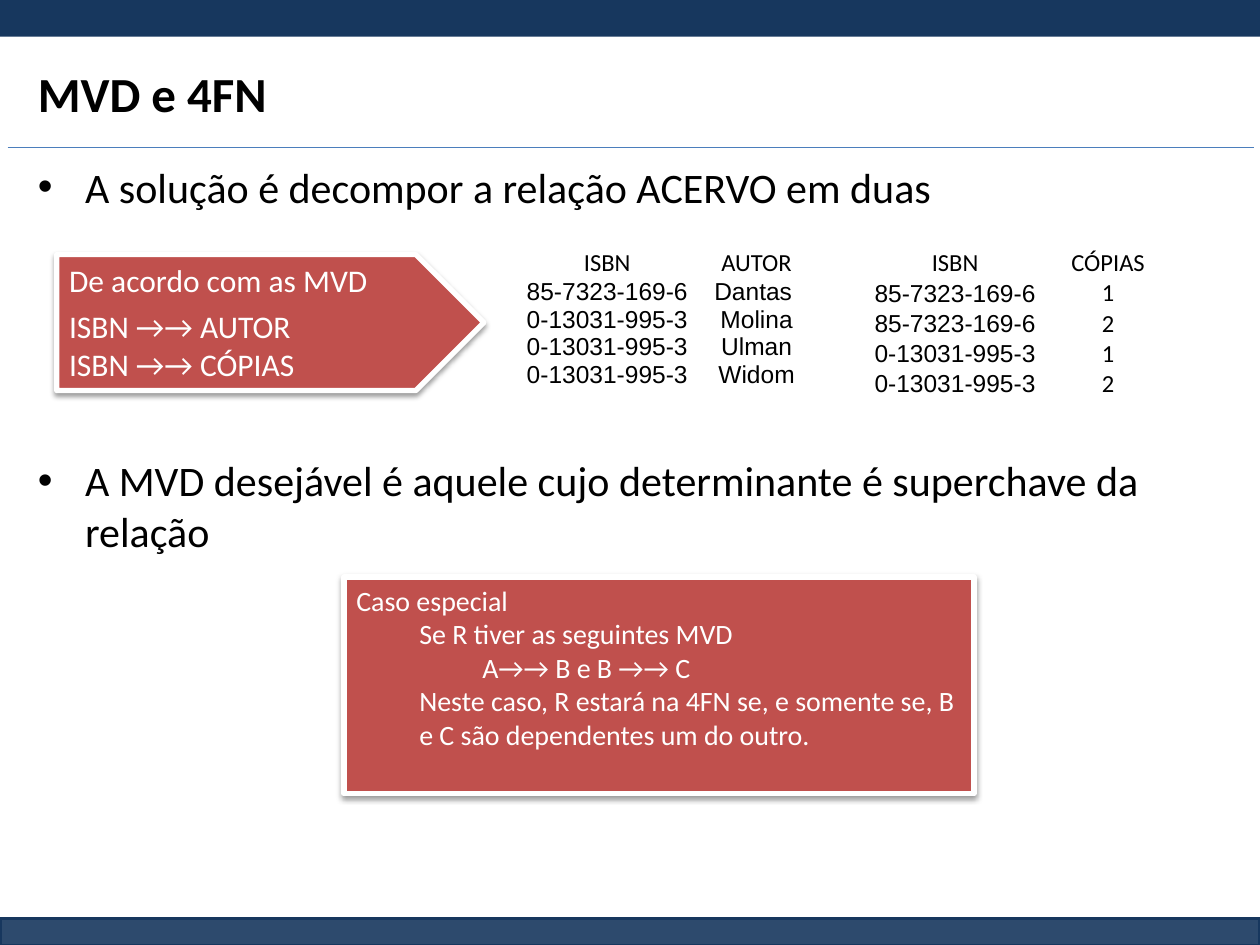
from dataclasses import dataclass

from lxml.etree import SubElement
from pptx import Presentation
from pptx.dml.color import RGBColor
from pptx.enum.shapes import MSO_CONNECTOR, MSO_SHAPE
from pptx.enum.text import MSO_ANCHOR, MSO_AUTO_SIZE, PP_ALIGN
from pptx.oxml import parse_xml
from pptx.oxml.ns import nsdecls, qn
from pptx.util import Inches, Pt


@dataclass(frozen=True)
class Theme:
    navy: RGBColor = RGBColor(0x17, 0x37, 0x5E)
    blue: RGBColor = RGBColor(0x4B, 0x7E, 0xBC)
    red: RGBColor = RGBColor(0xC0, 0x50, 0x4D)
    white: RGBColor = RGBColor(0xFF, 0xFF, 0xFF)
    black: RGBColor = RGBColor(0, 0, 0)
    face: str = "Calibri"
    digits: str = "Arial"
    title: int = 28
    body: int = 24
    arrow: int = 18
    note: int = 16
    cell: int = 14


THEME = Theme()
SHADOW = (
    f'<a:effectLst {nsdecls("a")}><a:outerShdw blurRad="40000" dist="20000" '
    'dir="5400000" rotWithShape="0"><a:srgbClr val="000000">'
    '<a:alpha val="38000"/></a:srgbClr></a:outerShdw></a:effectLst>'
)


def style(para, size, color, face=THEME.face, bold=False):
    font = para.font
    font.size, font.name, font.bold = Pt(size), face, bold
    font.color.rgb = color


def place(shape, box):
    shape.left, shape.top, shape.width, shape.height = map(Inches, box)


def add_bar(slide, box, alpha=None):
    bar = slide.shapes.add_shape(MSO_SHAPE.RECTANGLE, *map(Inches, box))
    bar.shadow.inherit = False
    bar.fill.solid()
    bar.fill.fore_color.rgb = THEME.navy
    if alpha is None:
        bar.line.fill.background()
        return
    bar.line.color.rgb = THEME.navy
    bar.line.width = Pt(2)
    tint = bar.fill._xPr.find(qn("a:solidFill"))[0]
    SubElement(tint, qn("a:alpha")).set("val", str(alpha * 1000))


def add_rule(slide, left, top, width):
    rule = slide.shapes.add_connector(
        MSO_CONNECTOR.STRAIGHT,
        Inches(left), Inches(top), Inches(left + width), Inches(top))
    rule.line.color.rgb = THEME.blue
    rule.line.width = Pt(0.75)
    SubElement(rule._element.spPr, qn("a:effectLst"))


def fill_title(slide, box, text):
    title = slide.shapes.title
    place(title, box)
    frame = title.text_frame
    frame.text = text
    frame.auto_size = MSO_AUTO_SIZE.NONE
    frame.vertical_anchor = MSO_ANCHOR.MIDDLE
    para = frame.paragraphs[0]
    para.alignment = PP_ALIGN.LEFT
    style(para, THEME.title, THEME.black, bold=True)


def fill_body(slide, box, items):
    """Items are (text, space before in points)."""
    body = slide.placeholders[1]
    place(body, box)
    frame = body.text_frame
    frame.text = "\n".join(text for text, _ in items)
    frame.auto_size = MSO_AUTO_SIZE.NONE
    for para, (_, gap) in zip(frame.paragraphs, items):
        para.space_before = Pt(gap)
        style(para, THEME.body, THEME.black)


def add_grid(slide, left, top, widths, height, rows, faces):
    shape = slide.shapes.add_table(
        len(rows), len(widths), Inches(left), Inches(top),
        Inches(sum(widths)), Inches(height * len(rows)))
    table = shape.table
    for col, width in zip(table.columns, widths):
        col.width = Inches(width)
    for r, row in enumerate(rows):
        for c, text in enumerate(row):
            cell = table.cell(r, c)
            cell.text = text
            cell.fill.solid()
            cell.fill.fore_color.rgb = THEME.white
            cell.vertical_anchor = MSO_ANCHOR.MIDDLE
            cell.margin_left = cell.margin_right = Inches(0.08)
            cell.margin_top = cell.margin_bottom = 0
            para = cell.text_frame.paragraphs[0]
            para.alignment = PP_ALIGN.CENTER
            style(para, THEME.cell, THEME.black, faces[c] if r else THEME.face)


def add_note(slide, kind, box, size, items):
    """Items are (text, level, space before in points)."""
    note = slide.shapes.add_shape(kind, *map(Inches, box))
    note.fill.solid()
    note.fill.fore_color.rgb = THEME.red
    note.line.color.rgb = THEME.white
    note.line.width = Pt(3)
    note._element.spPr.append(parse_xml(SHADOW))
    frame = note.text_frame
    frame.word_wrap = True
    frame.vertical_anchor = MSO_ANCHOR.TOP
    frame.text = "\n".join(text for text, _, _ in items)
    for para, (_, level, gap) in zip(frame.paragraphs, items):
        para.level = level
        para._p.get_or_add_pPr().set("marL", str(Inches(level * 0.5)))
        para.alignment = PP_ALIGN.LEFT
        para.space_before = Pt(gap)
        style(para, size, THEME.white)


def main():
    deck = Presentation()
    deck.slide_width, deck.slide_height = Inches(10), Inches(7.5)
    slide = deck.slides.add_slide(deck.slide_layouts[1])

    # Frame of the page
    add_bar(slide, (0, 7.29, 10, 0.22), alpha=90)
    add_bar(slide, (0, 0, 10, 0.29))
    add_rule(slide, 0.06, 1.17, 9.89)

    # Title and bullets
    fill_title(slide, (0.2, 0.38, 9.61, 0.71), "MVD e 4FN")
    fill_body(slide, (0.2, 1.23, 9.61, 5.95), [
        ("A solução é decompor a relação ACERVO em duas", 0),
        ("A MVD desejável é aquele cujo determinante é superchave da relação",
         139),
    ])

    # The two relations
    first, second = "85-7323-169-6", "0-13031-995-3"
    add_grid(slide, 4.08, 1.97, (1.48, 0.89), 0.22, [
        ("ISBN", "AUTOR"), (first, "Dantas "), (second, "Molina"),
        (second, "Ulman"), (second, "Widom"),
    ], (THEME.digits, THEME.digits))
    add_grid(slide, 6.84, 1.97, (1.48, 0.95), 0.24, [
        ("ISBN", "CÓPIAS"), (first, "1"), (first, "2"),
        (second, "1"), (second, "2"),
    ], (THEME.digits, THEME.face))

    # Red notes
    add_note(slide, MSO_SHAPE.PENTAGON, (0.45, 2.02, 3.39, 1.08), THEME.arrow, [
        ("De acordo com as MVD", 0, 0),
        ("ISBN →→ AUTOR", 0, 5),
        ("ISBN →→ CÓPIAS", 0, 0),
    ])
    add_note(slide, MSO_SHAPE.RECTANGLE, (2.73, 4.58, 5, 1.72), THEME.note, [
        ("Caso especial", 0, 0),
        ("Se R tiver as seguintes MVD", 1, 0),
        ("A→→ B e B →→ C", 2, 0),
        ("Neste caso, R estará na 4FN se, e somente se, B e C são "
         "dependentes um do outro.", 1, 0),
    ])
    deck.save("out.pptx")


if __name__ == "__main__":
    main()
